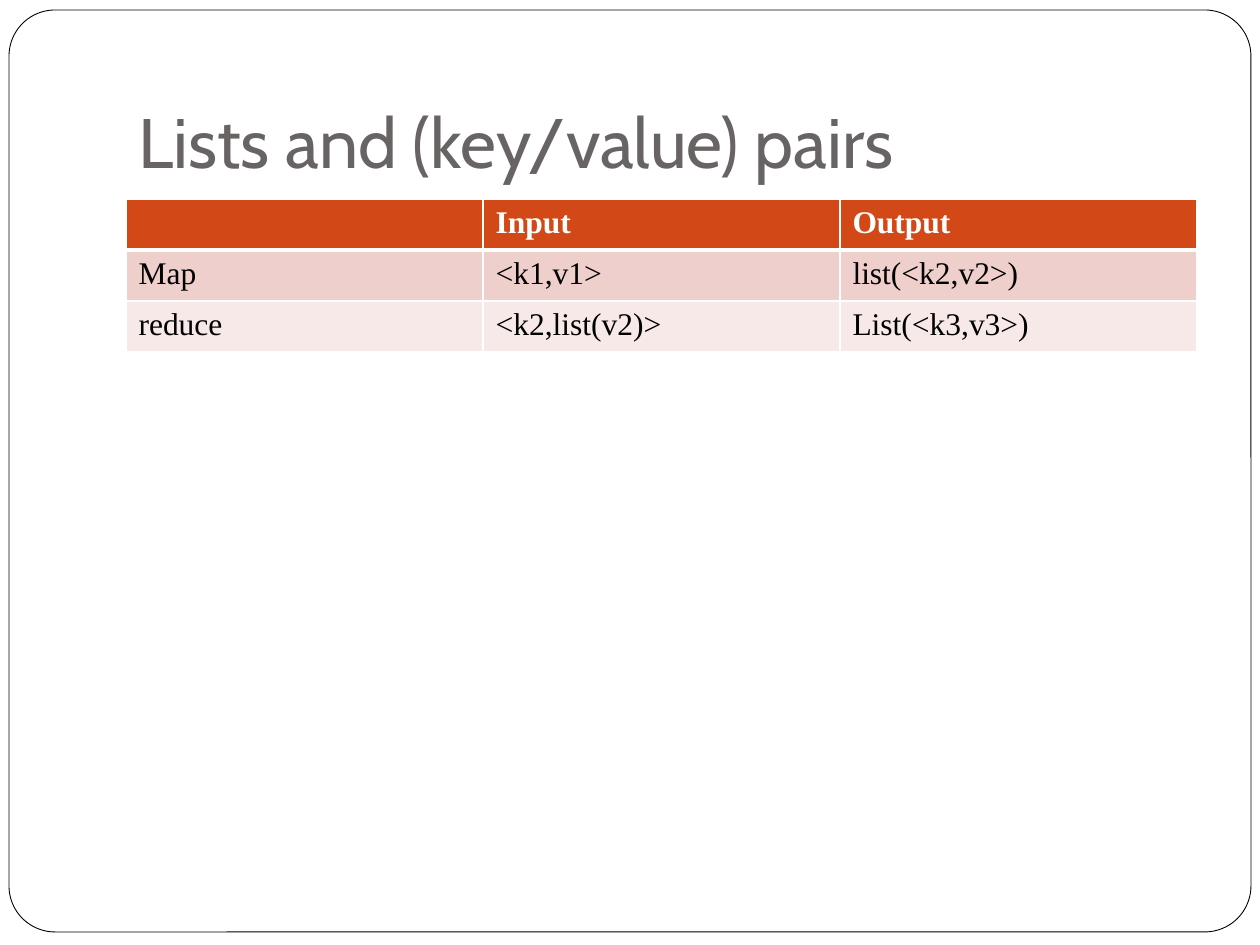
import pptx
import pptx.dml.color
import pptx.enum.shapes
import pptx.enum.text
import pptx.oxml
import pptx.oxml.ns
import pptx.util

PX = 914400 / 126
COLORS = {
    "white": "FFFFFF",
    "black": "000000",
    "title": "696464",
    "header": "D34817",
    "map": "EFCFCC",
    "reduce": "F7E9E8",
}
ROWS = [
    ("header", ["", "Input", "Output"]),
    ("map", ["Map", "<k1,v1>", "list(<k2,v2>)"]),
    ("reduce", ["reduce", "<k2,list(v2)>", "List(<k3,v3>)"]),
]


def px(length):
    """Turn pixels into EMU."""
    return pptx.util.Emu(round(length * PX))


def color(name):
    """Look up a named colour."""
    return pptx.dml.color.RGBColor.from_string(COLORS[name])


def style_text(para, font_name, size, color_name, bold=False):
    """Set the font of a whole paragraph."""
    font = para.font
    font.name = font_name
    font.size = pptx.util.Pt(size)
    font.bold = bold
    font.color.rgb = color(color_name)


def add_frame(page):
    """Draw the rounded outline around the page."""
    frame = page.shapes.add_shape(
        pptx.enum.shapes.MSO_SHAPE.ROUNDED_RECTANGLE,
        px(9), px(10), px(1242), px(922),
    )
    frame.adjustments[0] = 0.05
    frame.shadow.inherit = False
    frame.fill.solid()
    frame.fill.fore_color.rgb = color("white")
    frame.line.color.rgb = color("black")
    frame.line.width = pptx.util.Pt(0.5)


def add_title(page, text):
    """Add the bottom-anchored slide title."""
    box = page.shapes.add_textbox(px(126), px(38), px(1071), px(157))
    frame = box.text_frame
    frame.word_wrap = True
    frame.vertical_anchor = pptx.enum.text.MSO_ANCHOR.BOTTOM
    frame.margin_bottom = pptx.util.Inches(0.1)
    para = frame.paragraphs[0]
    para.text = text
    style_text(para, "Cabin", 40, "title")


def add_border(cell, side, points):
    """Give one side of a cell a white border."""
    line = pptx.oxml.parse_xml(
        f'<a:ln{side} {pptx.oxml.ns.nsdecls("a")} w="{pptx.util.Pt(points)}">'
        f'<a:solidFill><a:srgbClr val="{COLORS["white"]}"/></a:solidFill>'
        f'</a:ln{side}>'
    )
    cell._tc.get_or_add_tcPr().append(line)


def add_table(page, rows):
    """Add the table with its header and tinted rows."""
    columns = len(rows[0][1])
    table = page.shapes.add_table(
        len(rows), columns, px(126), px(199), px(357 * columns), px(51 * len(rows))
    ).table
    for row_index, (fill_name, texts) in enumerate(rows):
        is_header = row_index == 0
        widths = {
            "L": 1,
            "R": 1,
            "T": 3 if row_index == 1 else 1,
            "B": 3 if is_header else 1,
        }
        for column_index, text in enumerate(texts):
            cell = table.cell(row_index, column_index)
            for side, points in widths.items():
                add_border(cell, side, points)
            cell.fill.solid()
            cell.fill.fore_color.rgb = color(fill_name)
            para = cell.text_frame.paragraphs[0]
            para.text = text
            text_color = "white" if is_header else "black"
            style_text(para, "Times New Roman", 18, text_color, is_header)


def main():
    """Build and save the slide."""
    deck = pptx.Presentation()
    deck.slide_width = px(1260)
    deck.slide_height = px(945)
    page = deck.slides.add_slide(deck.slide_layouts[6])
    add_frame(page)
    add_title(page, "Lists and (key/value) pairs")
    add_table(page, ROWS)
    deck.save("out.pptx")


if __name__ == "__main__":
    main()
